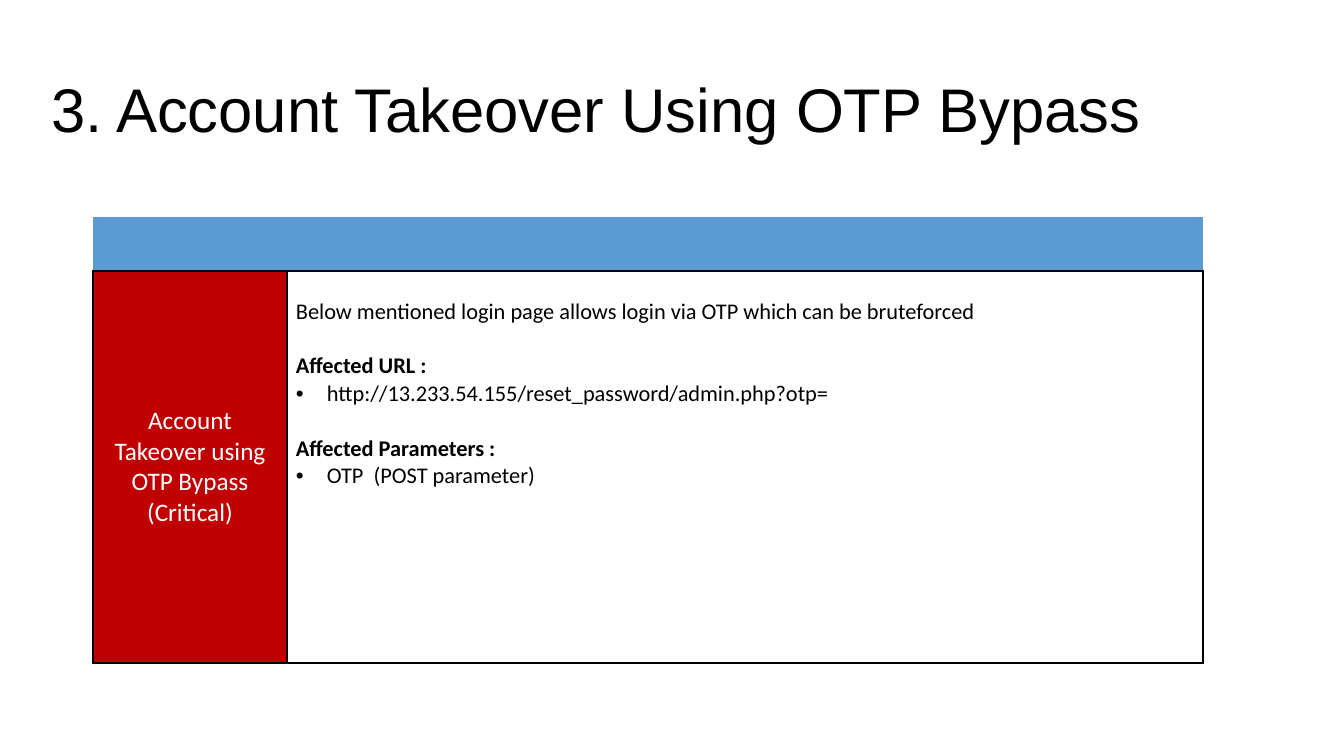
"""Builds the finding slide on account takeover through OTP bypass."""
from dataclasses import dataclass

from lxml.etree import SubElement
from pptx import Presentation
from pptx.dml.color import RGBColor
from pptx.enum.text import MSO_ANCHOR as Anchor, MSO_AUTO_SIZE as AutoSize, PP_ALIGN as Align
from pptx.oxml.ns import qn
from pptx.util import Emu, Pt

BLACK, WHITE, BLUE, RED = "000000", "FFFFFF", "5B9BD5", "C00000"
COLUMN_WIDTHS = (194, 916)
ROW_HEIGHTS = (54, 392)
NO_GRID_STYLE = "{2D5ABB26-0587-4C30-8999-92F81FD0307C}"


@dataclass(frozen=True)
class Line:
    text: str
    bold: bool = False
    bullet: bool = False
    gap: float = 0


@dataclass(frozen=True)
class CellStyle:
    fill: str
    color: str
    size: int
    align: Align
    anchor: Anchor
    top: int


SEVERITY = CellStyle(RED, WHITE, 18, Align.CENTER, Anchor.MIDDLE, 5)
DETAILS = CellStyle(WHITE, BLACK, 16, Align.LEFT, Anchor.TOP, 27)
BODY = (
    (SEVERITY, (Line("Account Takeover using OTP Bypass"), Line("(Critical)"))),
    (DETAILS, (
        Line("Below mentioned login page allows login via OTP which can be bruteforced"),
        Line("Affected URL :", bold=True, gap=19.5),
        Line("http://13.233.54.155/reset_password/admin.php?otp=", bullet=True),
        Line("Affected Parameters :", bold=True, gap=19.5),
        Line("OTP  (POST parameter)", bullet=True),
    )),
)


def px(length: int) -> Emu:
    return Emu(round(length * 914400 / 100.8))


def rgb(color: str) -> RGBColor:
    return RGBColor.from_string(color)


def set_font(paragraph, name: str, size: int, color: str, bold: bool = False) -> None:
    font = paragraph.font
    font.name, font.size, font.bold = name, Pt(size), bold
    font.color.rgb = rgb(color)


def add_bullet(paragraph) -> None:
    properties = paragraph._p.get_or_add_pPr()
    properties.set("marL", str(px(31)))
    properties.set("indent", str(-px(31)))
    bullet_color = SubElement(properties, qn("a:buClr"))
    SubElement(bullet_color, qn("a:srgbClr"), val=BLACK)
    SubElement(properties, qn("a:buFont"), typeface="Arial")
    SubElement(properties, qn("a:buChar"), char="•")


def add_borders(cell) -> None:
    properties = cell._tc.get_or_add_tcPr()
    for side in ("L", "R", "T", "B"):
        border = SubElement(properties, qn(f"a:ln{side}"), w=str(Pt(1)))
        fill = SubElement(border, qn("a:solidFill"))
        SubElement(fill, qn("a:srgbClr"), val=BLACK)


def paint(cell, color: str) -> None:
    cell.fill.solid()
    cell.fill.fore_color.rgb = rgb(color)


def write_cell(cell, style: CellStyle, lines: tuple[Line, ...]) -> None:
    add_borders(cell)
    paint(cell, style.fill)
    cell.vertical_anchor = style.anchor
    cell.margin_left = cell.margin_right = px(9)
    cell.margin_top, cell.margin_bottom = px(style.top), px(5)
    frame = cell.text_frame
    for index, line in enumerate(lines):
        paragraph = frame.add_paragraph() if index else frame.paragraphs[0]
        paragraph.text = line.text
        paragraph.alignment = style.align
        if line.gap:
            paragraph.space_before = Pt(line.gap)
        if line.bullet:
            add_bullet(paragraph)
        set_font(paragraph, "Calibri", style.size, style.color, line.bold)


def add_title(slide, text: str) -> None:
    title = slide.shapes.title
    title.left, title.top, title.width, title.height = map(px, (41, 40, 1232, 146))
    frame = title.text_frame
    frame.text = text
    frame.auto_size = AutoSize.NONE
    frame.vertical_anchor = Anchor.MIDDLE
    paragraph = frame.paragraphs[0]
    paragraph.alignment, paragraph.line_spacing = Align.LEFT, 0.9
    set_font(paragraph, "Arial", 44, BLACK)


def add_finding_table(slide) -> None:
    frame = slide.shapes.add_table(
        len(ROW_HEIGHTS), len(COLUMN_WIDTHS),
        px(93), px(217), px(sum(COLUMN_WIDTHS)), px(sum(ROW_HEIGHTS)),
    )
    table = frame.table
    table.first_row = table.horz_banding = False
    table._tbl.tblPr.find(qn("a:tableStyleId")).text = NO_GRID_STYLE
    for column, width in zip(table.columns, COLUMN_WIDTHS):
        column.width = px(width)
    for row, height in zip(table.rows, ROW_HEIGHTS):
        row.height = px(height)
    for index, (style, lines) in enumerate(BODY):
        paint(table.cell(0, index), BLUE)
        write_cell(table.cell(1, index), style, lines)


def main() -> None:
    presentation = Presentation()
    presentation.slide_width, presentation.slide_height = px(1344), px(756)
    slide = presentation.slides.add_slide(presentation.slide_layouts[5])
    add_title(slide, "3. Account Takeover Using OTP Bypass")
    add_finding_table(slide)
    presentation.save("out.pptx")


if __name__ == "__main__":
    main()
